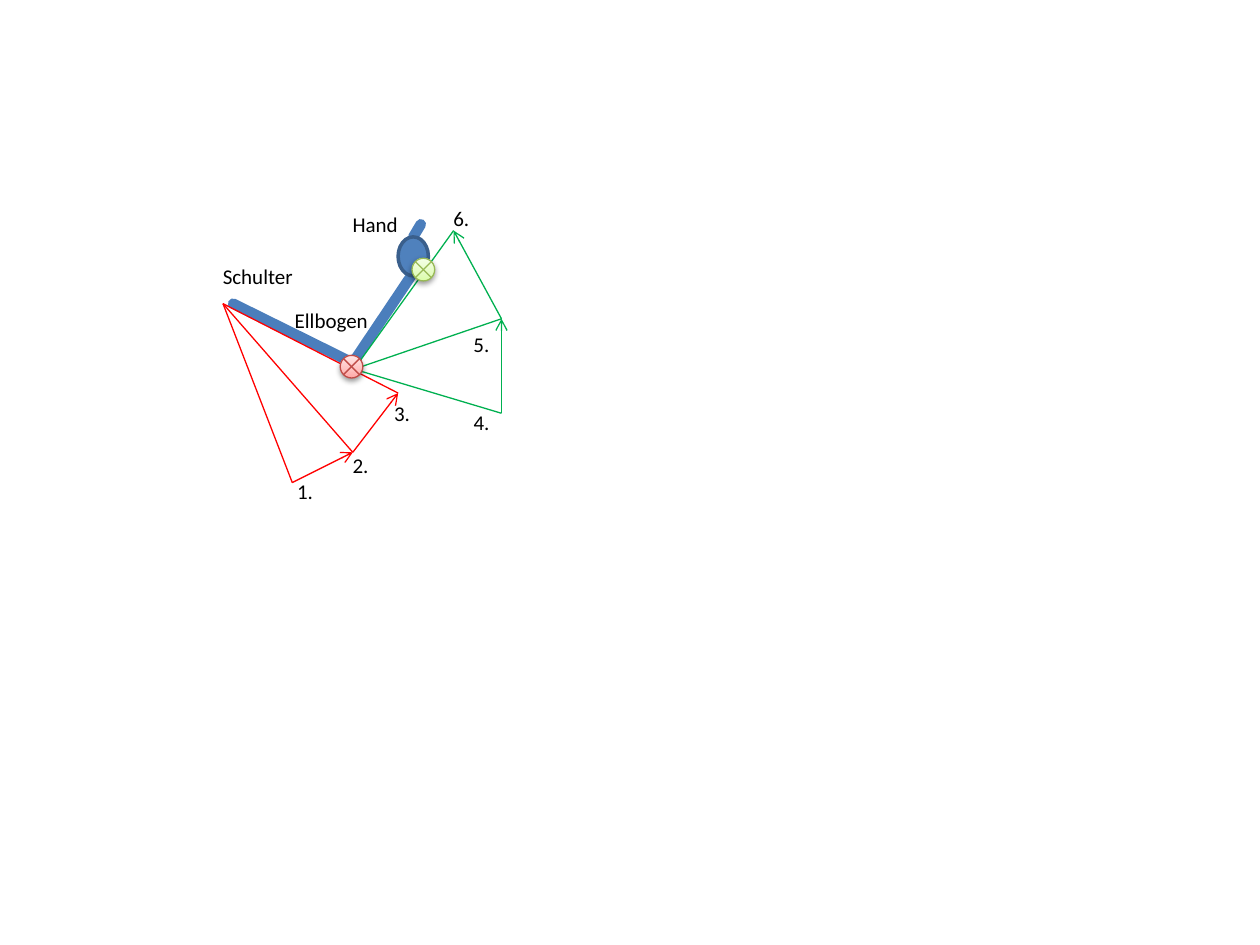
from copy import deepcopy

from lxml import etree
from pptx import Presentation
from pptx.dml.color import RGBColor
from pptx.enum.shapes import MSO_CONNECTOR, MSO_SHAPE
from pptx.enum.text import MSO_AUTO_SIZE
from pptx.oxml.ns import qn
from pptx.util import Inches, Pt

STRAIGHT = MSO_CONNECTOR.STRAIGHT
ELLIPSE = MSO_SHAPE.OVAL
JUNCTION = MSO_SHAPE.FLOWCHART_SUMMING_JUNCTION
FIT_TEXT = MSO_AUTO_SIZE.SHAPE_TO_FIT_TEXT

COLORS = {
    "limb": "4B7EBC",
    "hand": "4F81BD",
    "hand_edge": "3A5F8C",
    "shoulder": "FF0000",
    "elbow": "00B050",
    "text": "000000",
    "shadow": "000000",
    "green_edge": "98B955",
    "red_edge": "BF4C48",
}
GRADIENTS = {
    "green": ("DAFDA7", "E4FCC2", "F5FFE7"),
    "red": ("FFA6A5", "FFC0BF", "FFE7E7"),
}
GRADIENT_POSITIONS = (0, 0.35, 1)


def rgb(name):
    return RGBColor.from_string(COLORS[name])


def write_text(frame, text, size=12, font="Calibri", color="text", wrap=False):
    frame.word_wrap = wrap
    frame.auto_size = FIT_TEXT
    run = frame.paragraphs[0].add_run()
    run.text = text
    run.font.size = Pt(size)
    run.font.name = font
    run.font.color.rgb = rgb(color)


class ArmDiagram:
    thin = 0.75
    thick = 6
    marker_size = 0.18

    def __init__(self, slide):
        self.slide = slide

    def line(self, start, end, color, width=thin, arrow=False, cap="flat"):
        connector = self.slide.shapes.add_connector(
            STRAIGHT, *(Inches(value) for value in (*start, *end))
        )
        connector.line.color.rgb = rgb(color)
        connector.line.width = Pt(width)
        properties = connector.element.spPr
        outline = properties.find(qn("a:ln"))
        outline.set("cap", cap)
        if arrow:
            etree.SubElement(outline, qn("a:tailEnd"), type="arrow")
        etree.SubElement(properties, qn("a:effectLst"))

    def limb(self, start, end):
        self.line(start, end, "limb", self.thick, cap="rnd")

    def fan(self, pivot, points, color):
        for point in points:
            self.line(point, pivot, color)
        for start, end in zip(points, points[1:]):
            self.line(start, end, color, arrow=True)

    def shape(self, kind, left, top, width, height, edge, edge_width):
        shape = self.slide.shapes.add_shape(
            kind, Inches(left), Inches(top), Inches(width), Inches(height)
        )
        shape.line.color.rgb = rgb(edge)
        shape.line.width = Pt(edge_width)
        shape.shadow.inherit = False
        return shape

    def hand(self, left, top, width, height):
        shape = self.shape(ELLIPSE, left, top, width, height, "hand_edge", 2)
        shape.fill.solid()
        shape.fill.fore_color.rgb = rgb("hand")

    def marker(self, left, top, tint):
        size = self.marker_size
        shape = self.shape(JUNCTION, left, top, size, size, f"{tint}_edge", self.thin)
        properties = shape.element.spPr
        shape.fill.gradient()
        shape.fill.gradient_angle = 90
        stop_list = properties.find(".//" + qn("a:gsLst"))
        stop_list.append(deepcopy(stop_list[0]))
        stops = zip(shape.fill.gradient_stops, GRADIENT_POSITIONS, GRADIENTS[tint])
        for stop, position, color in stops:
            stop.position = position
            stop.color.rgb = RGBColor.from_string(color)
        shadow = etree.SubElement(
            properties.find(qn("a:effectLst")),
            qn("a:outerShdw"),
            blurRad=str(Pt(3.1)),
            dist=str(Pt(1.6)),
            dir="5400000",
            rotWithShape="0",
        )
        color = etree.SubElement(shadow, qn("a:srgbClr"), val=COLORS["shadow"])
        etree.SubElement(color, qn("a:alpha"), val="38000")

    def label(self, text, left, top, width=0.33, wrap=False):
        box = self.slide.shapes.add_textbox(
            Inches(left), Inches(top), Inches(width), Inches(0.3)
        )
        write_text(box.text_frame, text, wrap=wrap)


def main():
    presentation = Presentation()
    presentation.slide_width = Inches(10)
    presentation.slide_height = Inches(7.5)
    slide = presentation.slides.add_slide(presentation.slide_layouts[6])
    diagram = ArmDiagram(slide)

    elbow = (2.8, 2.88)
    diagram.limb((1.85, 2.41), elbow)
    diagram.limb((3.27, 2.18), elbow)
    diagram.limb((3.34, 1.78), (3.28, 1.88))
    diagram.hand(3.16, 1.88, 0.24, 0.31)

    diagram.fan((1.77, 2.41), [(2.32, 3.83), (2.8, 3.59), (3.16, 3.12)], "shoulder")
    diagram.fan((2.81, 2.93), [(3.98, 3.28), (3.98, 2.53), (3.6, 1.83)], "elbow")
    diagram.marker(3.27, 2.05, "green")
    diagram.marker(2.7, 2.82, "red")

    diagram.label("Hand", 2.7, 1.63, 0.56)
    diagram.label("Schulter", 1.67, 2.04, 0.76)
    diagram.label("Ellbogen", 2.24, 2.39, 0.79)
    diagram.label("1.", 2.26, 3.75)
    diagram.label("2.", 2.7, 3.54)
    diagram.label("3.", 3.03, 3.13)
    diagram.label("4.", 3.66, 3.2, 0.39, wrap=True)
    diagram.label("5.", 3.66, 2.58)
    diagram.label("6.", 3.5, 1.58)

    presentation.save("out.pptx")


if __name__ == "__main__":
    main()
